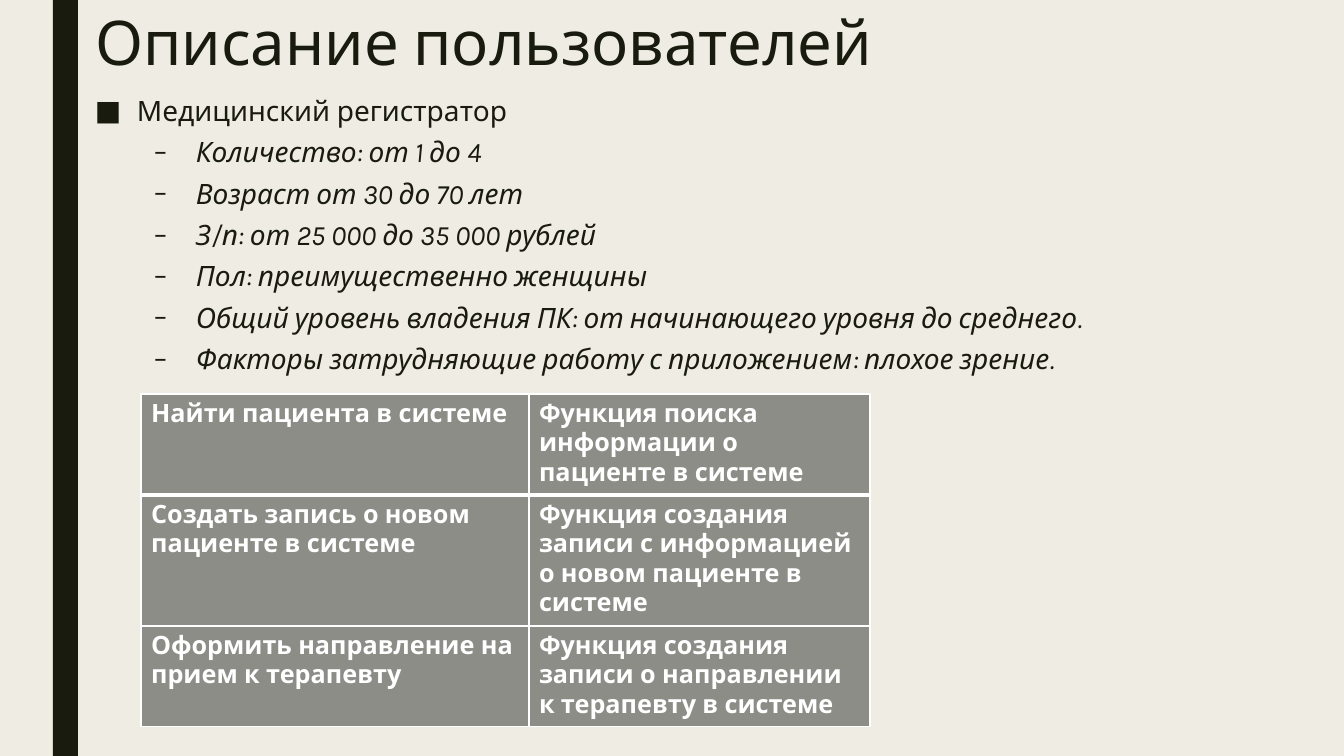
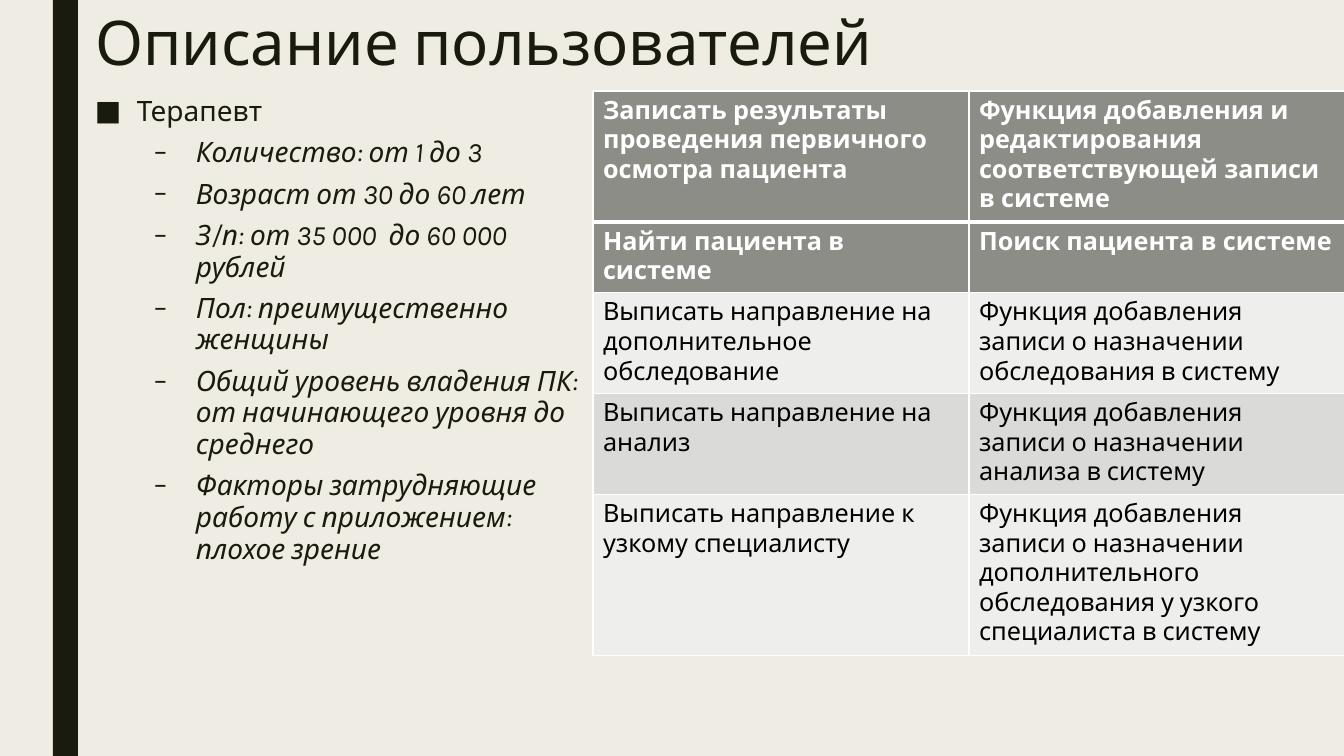
from dataclasses import dataclass

from lxml import etree
from pptx import Presentation
from pptx.dml.color import RGBColor
from pptx.enum.shapes import MSO_SHAPE
from pptx.enum.text import MSO_ANCHOR, MSO_AUTO_SIZE, PP_ALIGN
from pptx.oxml.ns import qn
from pptx.util import Pt

RECT = MSO_SHAPE.RECTANGLE
TOP = MSO_ANCHOR.TOP
NO_FIT = MSO_AUTO_SIZE.NONE
LEFT = PP_ALIGN.LEFT
PX = 12192000 / 1344


@dataclass(frozen=True)
class Theme:
    font: str = "Karla"
    paper: str = "EFEDE3"
    ink: str = "191B0E"
    white: str = "FFFFFF"
    black: str = "000000"
    head: str = "8C8D86"
    bands: tuple = ("EEEEED", "DADBD9")
    title: int = 44
    body: int = 20
    cell: int = 18


T = Theme()


def px(*lengths):
    return [round(n * PX) for n in lengths]


def put(p, text, size=T.body, color=T.ink, bold=False, italic=False,
        line=None, before=0, after=0):
    p.alignment = LEFT
    p.space_before, p.space_after = Pt(before), Pt(after)
    if line:
        p.line_spacing = line
    r = p.add_run()
    r.text = text
    r.font.name, r.font.size = T.font, Pt(size)
    r.font.bold, r.font.italic = bold, italic
    r.font.color.rgb = RGBColor.from_string(color)


TITLE = "Описание пользователей"
SLIDES = [
    {
        "role": "Медицинский регистратор",
        "facts": [
            "Количество: от 1 до 4",
            "Возраст от 30 до 70 лет",
            "З/п: от 25 000 до 35 000 рублей",
            "Пол: преимущественно женщины",
            "Общий уровень владения ПК: от начинающего уровня до среднего.",
            "Факторы затрудняющие работу с приложением: плохое зрение.",
        ],
        "body_width": 1058,
        "table_at": (141, 394),
        "cols": (388, 341),
        "rows": (91, 91, 91),
        "heads": 3,
        "tasks": [
            ("Найти пациента в системе",
             "Функция поиска информации о пациенте в системе"),
            ("Создать запись о новом пациенте в системе",
             "Функция создания записи с информацией о новом пациенте в системе"),
            ("Оформить направление на прием к терапевту",
             "Функция создания записи о направлении к терапевту в системе"),
        ],
    },
    {
        "role": "Терапевт",
        "facts": [
            "Количество: от 1 до 3",
            "Возраст от 30 до 60 лет",
            "З/п: от 35 000  до 60 000 рублей",
            "Пол: преимущественно женщины",
            "Общий уровень владения ПК: от начинающего уровня до среднего",
            "Факторы затрудняющие работу с приложением: плохое зрение",
        ],
        "body_width": 508,
        "table_at": (593, 91),
        "cols": (376, 376),
        "rows": (98, 56, 56, 56, 56),
        "heads": 2,
        "tasks": [
            ("Записать результаты проведения первичного осмотра пациента",
             "Функция добавления и редактирования соответствующей записи в системе"),
            ("Найти пациента в системе", "Поиск пациента в системе"),
            ("Выписать направление на дополнительное обследование",
             "Функция добавления записи о назначении обследования в систему"),
            ("Выписать направление на анализ",
             "Функция добавления записи о назначении анализа в систему"),
            ("Выписать направление к узкому специалисту",
             "Функция добавления записи о назначении дополнительного "
             "обследования у узкого специалиста в систему"),
        ],
    },
]

prs = Presentation()
prs.slide_width, prs.slide_height = px(1344, 756)
bg = prs.slide_master.background.fill
bg.solid()
bg.fore_color.rgb = RGBColor.from_string(T.paper)

for data in SLIDES:
    s = prs.slides.add_slide(prs.slide_layouts[5])

    band = s.shapes.add_shape(RECT, *px(53, 0, 25, 756))
    band.shadow.inherit = False
    band.fill.solid()
    band.fill.fore_color.rgb = RGBColor.from_string(T.ink)
    band.line.fill.background()

    title = s.shapes.title
    title.left, title.top, title.width, title.height = px(85, 8, 1058, 163)
    tf = title.text_frame
    tf.word_wrap, tf.auto_size, tf.vertical_anchor = True, NO_FIT, TOP
    put(tf.paragraphs[0], TITLE, size=T.title, line=0.89)

    tf = s.shapes.add_textbox(*px(85, 91, data["body_width"], 657)).text_frame
    tf.word_wrap = True
    for i, text in enumerate([data["role"], *data["facts"]]):
        p = tf.add_paragraph() if i else tf.paragraphs[0]
        p.level = 1 if i else 0
        put(p, text, italic=i > 0, line=0.94, before=5 if i else 10, after=2)
        indent, hanging = px(101 if i else 42, -42)
        pPr = p._p.get_or_add_pPr()
        pPr.set("marL", str(indent))
        pPr.set("indent", str(hanging))
        etree.SubElement(pPr, qn("a:buFont"), typeface=T.font)
        etree.SubElement(pPr, qn("a:buChar"), char="–" if i else "■")

    cols, rows = data["cols"], data["rows"]
    frame = s.shapes.add_table(len(rows), len(cols),
                               *px(*data["table_at"], sum(cols), sum(rows)))
    table = frame.table
    table.first_row = table.horz_banding = False
    for col, width in zip(table.columns, px(*cols)):
        col.width = width
    for row, height in zip(table.rows, px(*rows)):
        row.height = height

    for i, texts in enumerate(data["tasks"]):
        head = i < data["heads"]
        fill = T.head if head else T.bands[(i - data["heads"]) % 2]
        for j, text in enumerate(texts):
            cell = table.cell(i, j)
            tcPr = cell._tc.get_or_add_tcPr()
            for side in "LRTB":
                thick = (i, side) in ((0, "B"), (1, "T"))
                ln = etree.SubElement(tcPr, qn("a:ln" + side),
                                      w=str(Pt(3 if thick else 1)))
                solid = etree.SubElement(ln, qn("a:solidFill"))
                etree.SubElement(solid, qn("a:srgbClr"), val=T.white)
            cell.fill.solid()
            cell.fill.fore_color.rgb = RGBColor.from_string(fill)
            put(cell.text_frame.paragraphs[0], text, size=T.cell, bold=head,
                color=T.white if head else T.black)

prs.save("out.pptx")
